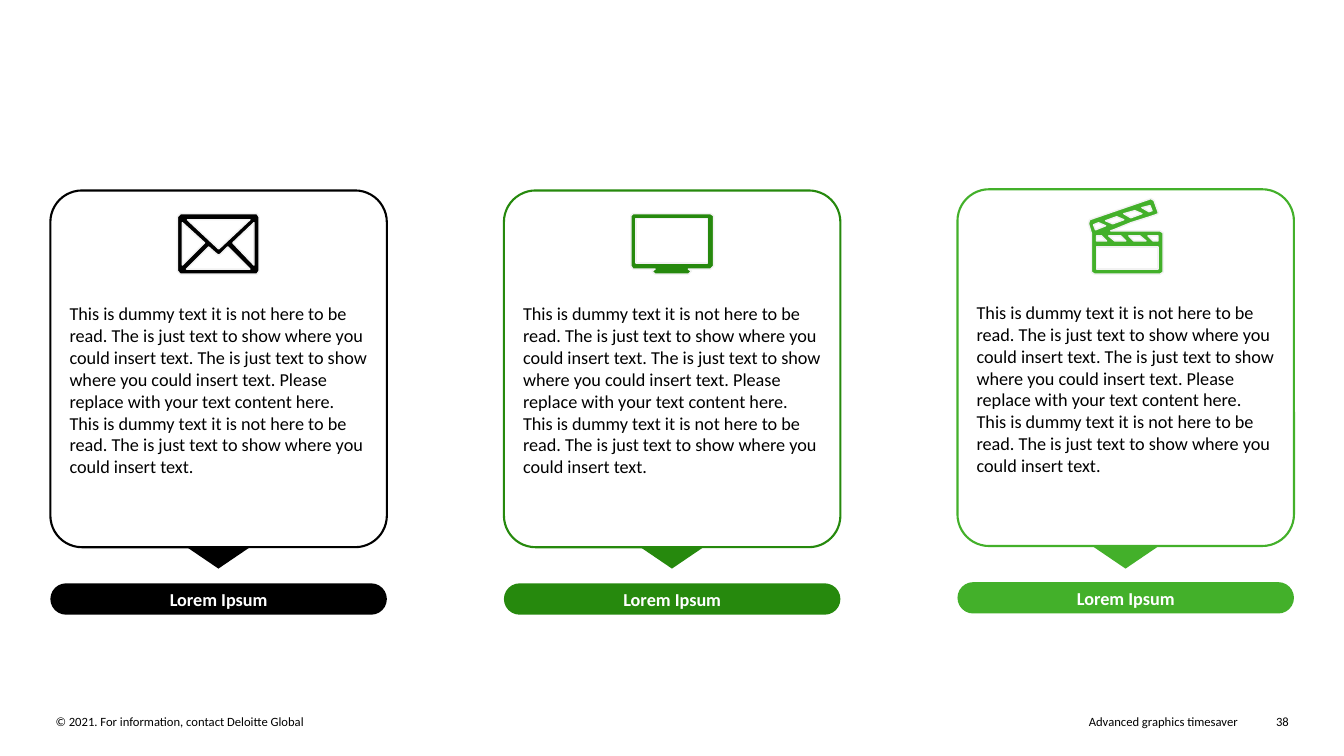
"""Build a slide with three icon cards, each pointing down to a label."""
from pptx import Presentation
from pptx.dml.color import RGBColor
from pptx.enum.shapes import MSO_SHAPE as Kind
from pptx.enum.text import MSO_ANCHOR as Anchor, MSO_AUTO_SIZE as Auto, PP_ALIGN as Align
from pptx.util import Cm, Pt

BODY = (
    "This is dummy text it is not here to be read. The is just text to show where "
    "you could insert text. The is just text to show where you could insert text. "
    "Please replace with your text content here. This is dummy text it is not here "
    "to be read. The is just text to show where you could insert text."
)
MAIL = [
    [(205, 212), (129, 212), (126, 215), (126, 269), (129, 272), (205, 272), (207, 269), (207, 215)],
    [(202, 263), (181, 241), (202, 221)],
    [(198, 218), (167, 247), (136, 218)],
    [(131, 221), (153, 241), (131, 263)],
    [(157, 245), (165, 252), (167, 253), (169, 252), (176, 245), (198, 267), (135, 267)],
]
SCREEN = [
    [(205, 212), (128, 212), (126, 214), (126, 264), (128, 267), (150, 267), (147, 269), (150, 272),
     (183, 272), (186, 269), (183, 267), (205, 267), (208, 264), (208, 214)],
    [(202, 261), (131, 261), (131, 217), (202, 217)],
]
CLAP = [
    [(201, 229), (152, 229), (155, 228), (172, 221), (191, 215), (197, 213), (199, 212), (199, 210),
     (195, 199), (192, 197), (131, 218), (130, 222), (133, 232), (133, 270), (136, 272), (201, 272),
     (204, 270), (204, 231)],
    [(199, 239), (194, 239), (189, 234), (199, 234)],
    [(175, 239), (170, 234), (181, 234), (187, 239)],
    [(156, 239), (150, 234), (162, 234), (167, 239)],
    [(138, 234), (143, 234), (148, 239), (138, 239)],
    [(158, 215), (165, 218), (154, 222), (147, 219)],
    [(176, 209), (183, 212), (172, 216), (165, 212)],
    [(193, 209), (190, 210), (183, 206), (191, 204)],
    [(140, 221), (147, 224), (137, 228), (135, 223)],
    [(138, 267), (138, 245), (199, 245), (199, 267)],
]
CARDS = [("000000", MAIL, 0), ("26890D", SCREEN, 0), ("43B02A", CLAP, 0.03)]
FOOT = [
    ("© 2021. For information, contact Deloitte Global", 1.4, 14.88, Align.LEFT),
    ("Advanced graphics timesaver", 17.6, 13.59, Align.RIGHT),
    ("38", 31.62, 0.86, Align.RIGHT),
]


def paint(shape, fill, edge=None, width=1):
    shape.shadow.inherit = False
    shape.fill.solid()
    shape.fill.fore_color.rgb = RGBColor.from_string(fill)
    if edge:
        shape.line.color.rgb = RGBColor.from_string(edge)
        shape.line.width = Pt(width)
    else:
        shape.line.fill.background()


def write(shape, text, size, tint, align, bold=False):
    frame = shape.text_frame
    frame.word_wrap = True
    frame.text = text
    line = frame.paragraphs[0]
    line.alignment = align
    font = line.runs[0].font
    font.name, font.size, font.bold = "Calibri", Pt(size), bold
    font.color.rgb = RGBColor.from_string(tint)
    return frame


deck = Presentation()
deck.slide_width, deck.slide_height = Cm(33.87), Cm(19.05)
slide = deck.slides.add_slide(deck.slide_layouts[6])
shapes = slide.shapes

for text, left, width, align in FOOT:
    box = shapes.add_textbox(Cm(left), Cm(17.98), Cm(width), Cm(0.38))
    frame = write(box, text, 9, "000000", align)
    frame.margin_left = frame.margin_right = frame.margin_top = frame.margin_bottom = 0
    frame.auto_size = Auto.SHAPE_TO_FIT_TEXT

for spot, (tint, icon, lift) in enumerate(CARDS):
    left = 1.27 + 11.43 * spot

    label = shapes.add_shape(Kind.ROUNDED_RECTANGLE, Cm(left), Cm(14.7 - lift), Cm(8.48), Cm(0.79))
    label.adjustments[0] = 0.5
    paint(label, tint)
    write(label, "Lorem Ipsum", 13, "FFFFFF", Align.CENTER, True)

    arrow = shapes.add_shape(Kind.ISOSCELES_TRIANGLE, Cm(left + 3.41), Cm(13.77), Cm(1.65), Cm(0.56))
    arrow._element.spPr.xfrm.set("flipV", "1")
    paint(arrow, tint)

    card = shapes.add_shape(Kind.ROUNDED_RECTANGLE, Cm(left), Cm(4.8 - lift), Cm(8.48), Cm(8.99))
    card.adjustments[0] = 0.094
    paint(card, "FFFFFF", tint, 1.5)
    frame = write(card, BODY, 13, "000000", Align.LEFT)
    frame.vertical_anchor = Anchor.TOP
    frame.margin_left = frame.margin_right = frame.margin_bottom = Cm(0.25)
    frame.margin_top = Cm(2.59)

    pen = shapes.build_freeform(*icon[0][0], scale=Cm(2.54) / 100)
    pen.add_line_segments(icon[0][1:])
    for hole in icon[1:]:
        pen.move_to(*hole[0])
        pen.add_line_segments(hole[1:])
    paint(pen.convert_to_shape(Cm(left), 0), tint, "F2F2F2")

deck.save("out.pptx")
